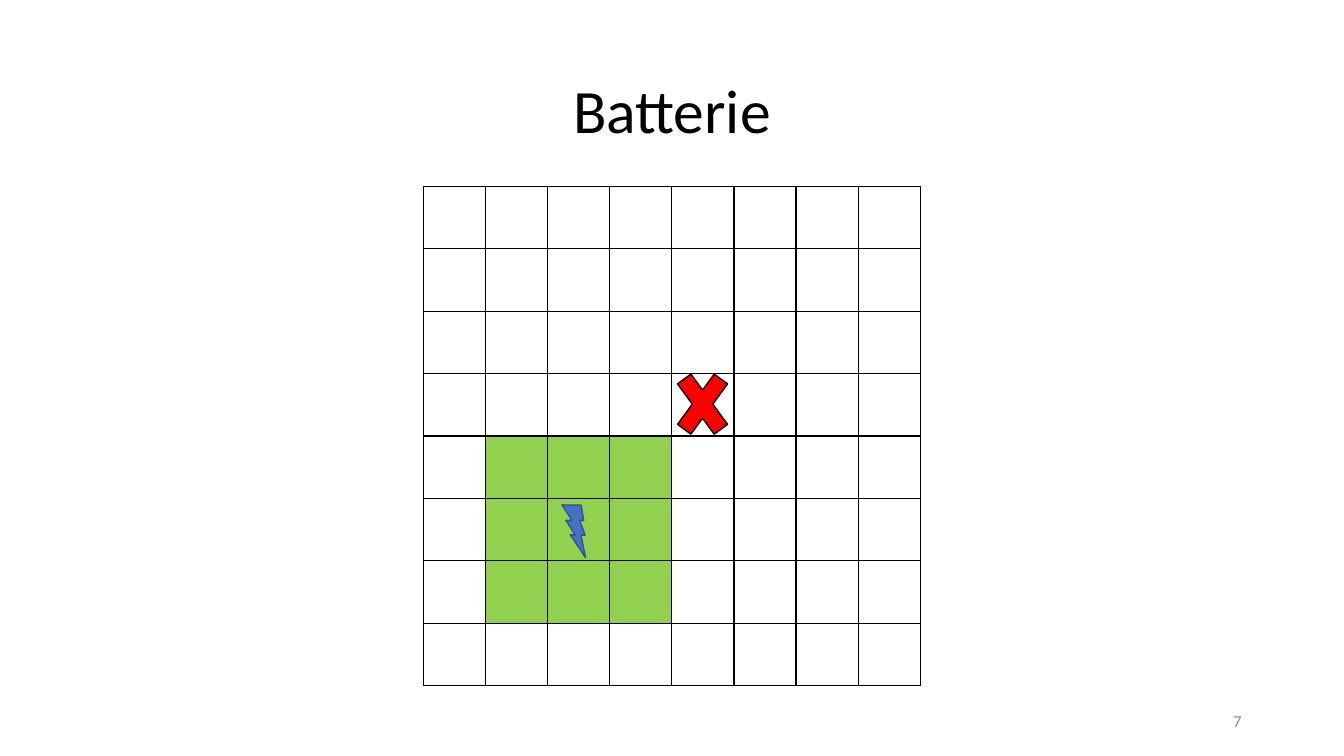
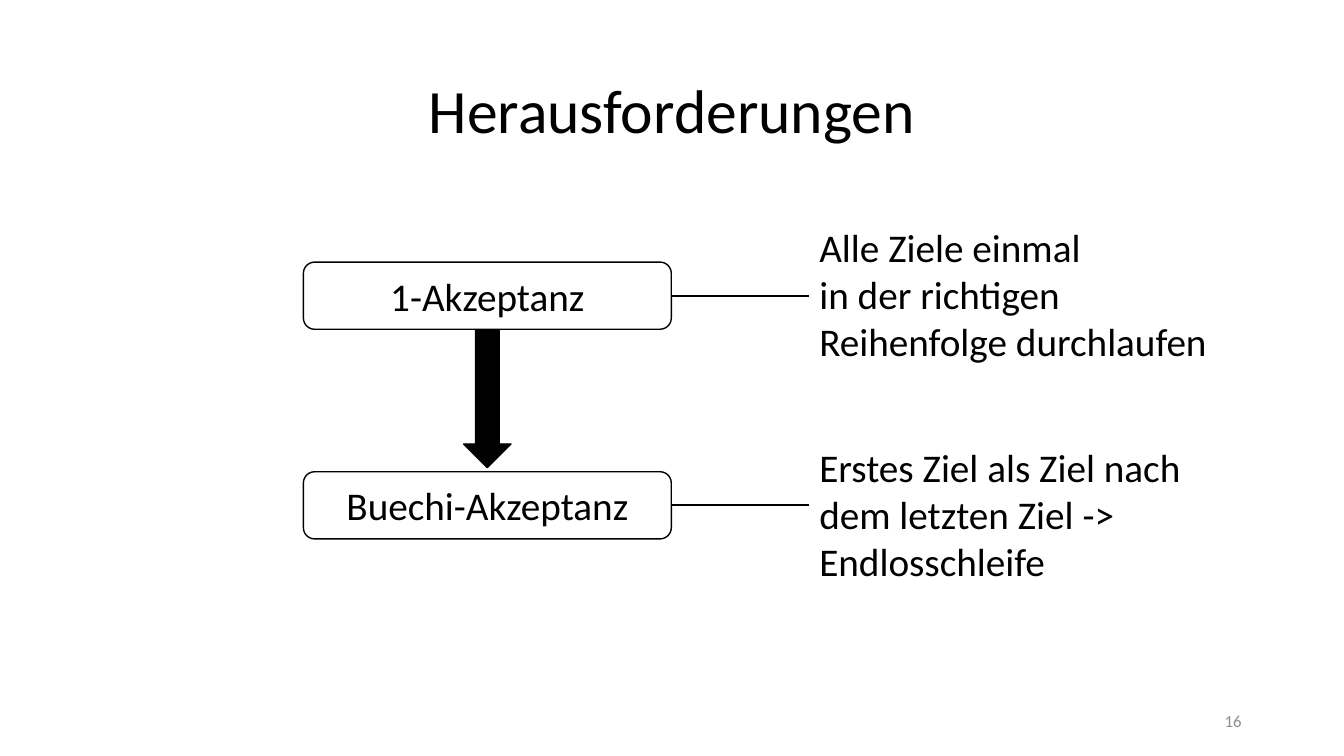
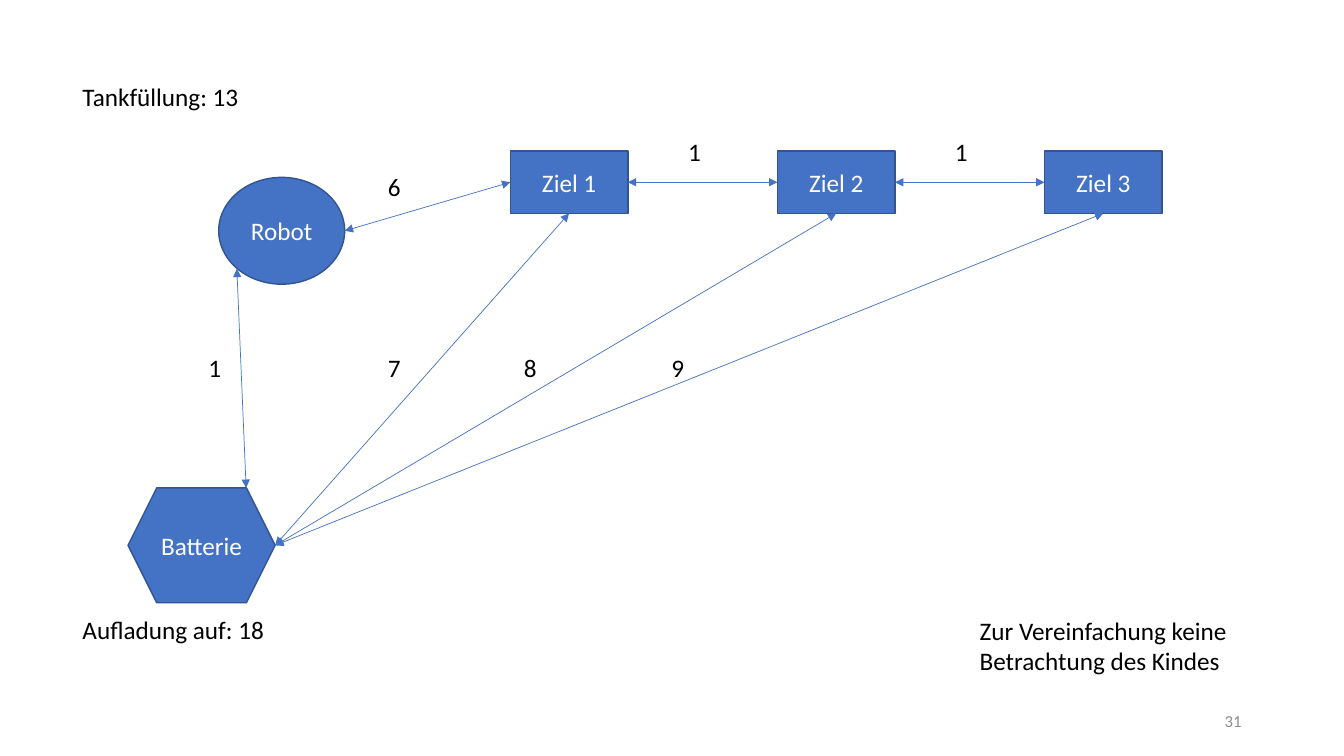
from dataclasses import dataclass
from typing import Any

from lxml.etree import SubElement
from pptx import Presentation
from pptx.dml.color import RGBColor
from pptx.enum.shapes import MSO_CONNECTOR as Connector, MSO_SHAPE as Preset
from pptx.enum.text import MSO_ANCHOR as Anchor, MSO_AUTO_SIZE as AutoSize, PP_ALIGN as Align
from pptx.oxml.ns import qn
from pptx.util import Inches, Pt

GRID_COLUMNS, GRID_ROWS = 160, 90
TITLE_ONLY, BLANK = 5, 6
TOP, LEFT, BOTTOM, RIGHT = range(4)


@dataclass(frozen=True)
class Theme:
    font: str = "Calibri"
    black: str = "000000"
    white: str = "FFFFFF"
    grey: str = "8C8C8C"
    blue: str = "4472C4"
    dark_blue: str = "325491"
    green: str = "92D050"
    red: str = "FF0000"
    title_size: int = 44
    large_size: int = 28
    body_size: int = 18
    number_size: int = 12
    outline: float = 1
    thin: float = 0.5
    medium: float = 1.5


@dataclass(frozen=True)
class Joint:
    shape: Any
    side: int


class Deck:
    def __init__(self, theme):
        self.theme = theme
        self.presentation = Presentation()
        self.presentation.slide_width = Inches(13.33)
        self.presentation.slide_height = Inches(7.5)
        self.slide = None

    def x(self, columns):
        return round(self.presentation.slide_width * columns / GRID_COLUMNS)

    def y(self, rows):
        return round(self.presentation.slide_height * rows / GRID_ROWS)

    def area(self, left, top, width, height):
        return self.x(left), self.y(top), self.x(width), self.y(height)

    def new_slide(self, number, title=None):
        layout = self.presentation.slide_layouts[TITLE_ONLY if title else BLANK]
        self.slide = self.presentation.slides.add_slide(layout)
        if title:
            holder = self.slide.shapes.title
            holder.left, holder.top, holder.width, holder.height = self.area(11, 4.8, 138, 17.4)
            self.set_text(holder, [title], self.theme.title_size, self.theme.black, Align.CENTER, Anchor.MIDDLE)
            holder.text_frame.paragraphs[0].line_spacing = 0.9
        self.text((113, 83.4, 36, 4.8), [str(number)], self.theme.number_size,
                  self.theme.grey, Align.RIGHT, Anchor.MIDDLE)

    def set_text(self, shape, lines, size, color, align, anchor):
        frame = shape.text_frame
        frame.text = "\n".join(lines)
        frame.vertical_anchor = anchor
        for paragraph in frame.paragraphs:
            paragraph.alignment = align
            paragraph.font.name = self.theme.font
            paragraph.font.size = Pt(size)
            paragraph.font.color.rgb = RGBColor.from_string(color)

    def text(self, area, lines, size=None, color=None, align=Align.LEFT, anchor=Anchor.TOP, wrap=True):
        box = self.slide.shapes.add_textbox(*self.area(*area))
        box.text_frame.word_wrap = wrap
        if anchor == Anchor.TOP:
            box.text_frame.auto_size = AutoSize.SHAPE_TO_FIT_TEXT
        self.set_text(box, lines, size or self.theme.body_size, color or self.theme.black, align, anchor)

    def shape(self, preset, area, fill, line, label=None, size=None, color=None, rotation=0):
        shape = self.slide.shapes.add_shape(preset, *self.area(*area))
        shape.shadow.inherit = False
        shape.rotation = rotation
        shape.fill.solid()
        shape.fill.fore_color.rgb = RGBColor.from_string(fill)
        shape.line.color.rgb = RGBColor.from_string(line)
        shape.line.width = Pt(self.theme.outline)
        if label:
            self.set_text(shape, [label], size, color, Align.CENTER, Anchor.MIDDLE)
        return shape

    def node(self, preset, area, label):
        theme = self.theme
        return self.shape(preset, area, theme.blue, theme.dark_blue, label, theme.body_size, theme.white)

    def line(self, start, finish, color, width, arrows=False):
        points = [(0, 0) if isinstance(end, Joint) else (self.x(end[0]), self.y(end[1]))
                  for end in (start, finish)]
        connector = self.slide.shapes.add_connector(Connector.STRAIGHT, *points[0], *points[1])
        if isinstance(start, Joint):
            connector.begin_connect(start.shape, start.side)
        if isinstance(finish, Joint):
            connector.end_connect(finish.shape, finish.side)
        connector.line.color.rgb = RGBColor.from_string(color)
        connector.line.width = Pt(width)
        properties = connector._element.spPr
        if arrows:
            for tag in ("a:headEnd", "a:tailEnd"):
                SubElement(properties.find(qn("a:ln")), qn(tag), type="triangle")
        SubElement(properties, qn("a:effectLst"))

    def board(self, left, top, cell_width, cell_height, count, marked):
        area = self.area(left, top, cell_width * count, cell_height * count)
        table = self.slide.shapes.add_table(count, count, *area).table
        table.first_row = table.horz_banding = False
        for column in table.columns:
            column.width = self.x(cell_width)
        for row_index, row in enumerate(table.rows):
            row.height = self.y(cell_height)
            for column_index, cell in enumerate(row.cells):
                self.border(cell)
                if (column_index, row_index) in marked:
                    cell.fill.solid()
                    cell.fill.fore_color.rgb = RGBColor.from_string(self.theme.green)
                else:
                    cell.fill.background()

    def border(self, cell):
        properties = cell._tc.get_or_add_tcPr()
        for tag in ("a:lnL", "a:lnR", "a:lnT", "a:lnB"):
            edge = SubElement(properties, qn(tag), w=str(Pt(self.theme.outline)))
            fill = SubElement(edge, qn("a:solidFill"))
            SubElement(fill, qn("a:srgbClr"), val=self.theme.black)


def battery_slide(deck):
    theme = deck.theme
    deck.new_slide(7, "Batterie")
    charging_zone = {(column, row) for column in range(1, 4) for row in range(4, 7)}
    deck.board(50.4, 22.2, 7.4, 7.43, 8, charging_zone)
    deck.shape(Preset.MATH_MULTIPLY, (79.44, 42.36, 8.4, 11.52), theme.red, theme.black)
    deck.shape(Preset.LIGHTNING_BOLT, (65.88, 60.12, 5.28, 5.4), theme.blue, theme.dark_blue, rotation=25.9)


def challenges_slide(deck):
    theme = deck.theme
    deck.new_slide(16, "Herausforderungen")
    stages = [
        ("1-Akzeptanz", 31.2, 26, 50,
         ["Alle Ziele einmal", "in der richtigen", "Reihenfolge durchlaufen"]),
        ("Buechi-Akzeptanz", 56.16, 52.2, 45.84,
         ["Erstes Ziel als Ziel nach", "dem letzten Ziel ->", "Endlosschleife"]),
    ]
    for name, box_top, note_top, note_width, note in stages:
        box = deck.shape(Preset.ROUNDED_RECTANGLE, (36.12, box_top, 43.8, 8), theme.white,
                         theme.black, name, theme.large_size, theme.black)
        deck.text((96.36, note_top, note_width, 18.12), note, theme.large_size, wrap=False)
        deck.line(Joint(box, RIGHT), (96.36, box_top + 4), theme.black, theme.medium)
    deck.shape(Preset.DOWN_ARROW, (55.2, 39.36, 5.64, 16.32), theme.black, theme.black)


def route_slide(deck):
    theme = deck.theme
    deck.new_slide(31)
    targets = [deck.node(Preset.RECTANGLE, (60.75 + 31.8 * index, 18, 14, 7.4), f"Ziel {index + 1}")
               for index in range(3)]
    deck.node(Preset.OVAL, (26.04, 21.12, 15, 12.72), "Robot")
    deck.node(Preset.HEXAGON, (15.24, 58.08, 17.52, 13.68), "Batterie")

    battery_tip = (32.76, 64.92)
    routes = [((28.2, 32), (29.3, 58.08)), ((41.04, 27.48), Joint(targets[0], LEFT))]
    routes += [(Joint(target, BOTTOM), battery_tip) for target in targets]
    routes += [(Joint(after, LEFT), Joint(before, RIGHT)) for before, after in zip(targets, targets[1:])]
    for start, finish in routes:
        deck.line(start, finish, theme.blue, theme.thin, arrows=True)

    distances = [("6", 45, 19.8), ("7", 45, 41.4), ("8", 61.2, 41.4), ("9", 78.75, 41.4),
                 ("1", 23.64, 41.4), ("1", 80.75, 15.6), ("1", 112.5, 15.6)]
    for distance, left, top in distances:
        deck.text((left, top, 5.88, 4.8), [distance])
    deck.text((8.64, 9.12, 41.28, 4.8), ["Tankfüllung: 13"])
    deck.text((8.64, 72.6, 35.52, 4.8), ["Aufladung auf: 18"])
    deck.text((115.44, 72.6, 35.52, 8.52), ["Zur Vereinfachung keine Betrachtung des Kindes"])


def main():
    deck = Deck(Theme())
    battery_slide(deck)
    challenges_slide(deck)
    route_slide(deck)
    deck.presentation.save("out.pptx")


if __name__ == "__main__":
    main()
